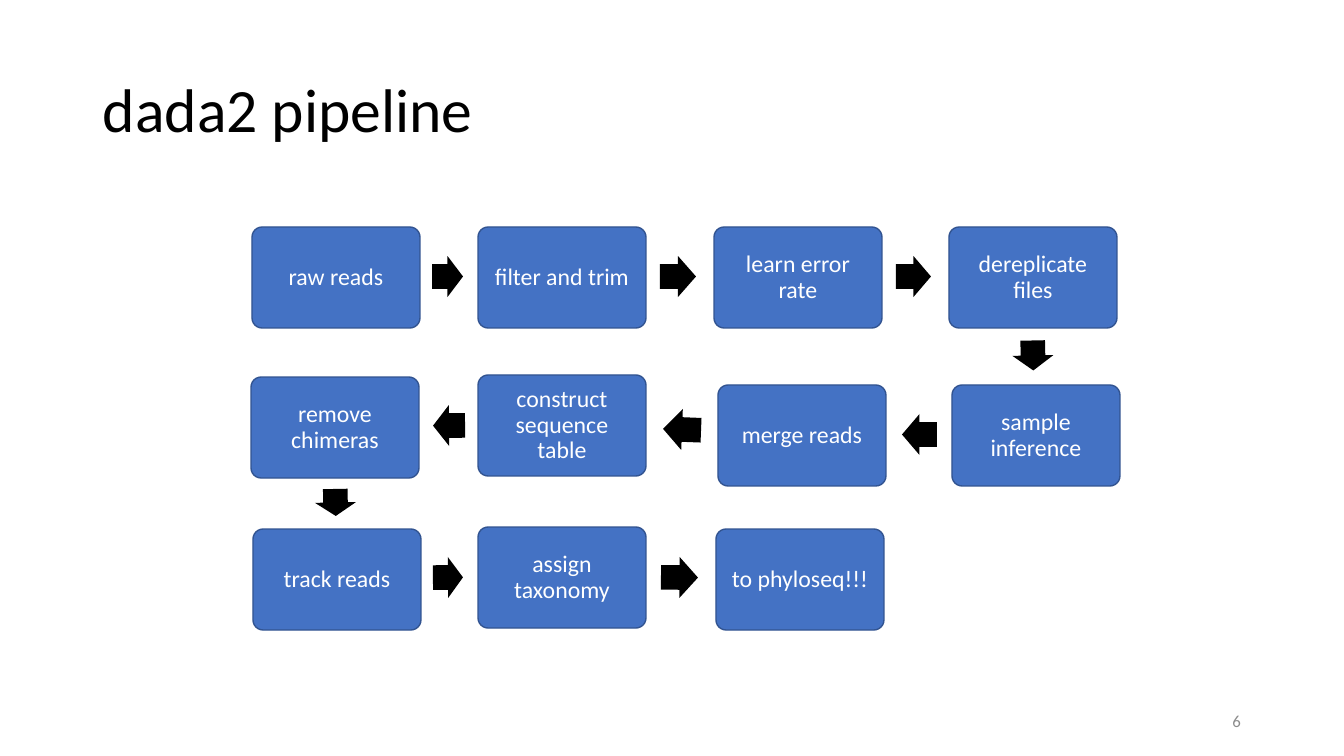
from pptx import Presentation
from pptx.dml.color import RGBColor
from pptx.enum.shapes import MSO_SHAPE as SHAPE
from pptx.enum.text import MSO_ANCHOR as ANCHOR, PP_ALIGN as ALIGN
from pptx.util import Pt

BLACK = RGBColor(0x00, 0x00, 0x00)
WHITE = RGBColor(0xFF, 0xFF, 0xFF)
BLUE = RGBColor(0x44, 0x72, 0xC4)
NAVY = RGBColor(0x32, 0x54, 0x91)
GRAY = RGBColor(0x8C, 0x8C, 0x8C)

WIDTH, HEIGHT = 1344, 756
SCALE = 12192000 / WIDTH
BOX_W, BOX_H, ARROW_H = 168, 101, 41

STEPS = [
    ("raw reads", 252, 227),
    ("filter and trim", 478, 227),
    ("learn error rate", 714, 227),
    ("dereplicate files", 949, 227),
    ("sample inference", 952, 385),
    ("merge reads", 718, 385),
    ("construct sequence table", 478, 375),
    ("remove chimeras", 251, 377),
    ("track reads", 253, 529),
    ("assign taxonomy", 478, 527),
    ("to phyloseq!!!", 716, 529),
]
ARROWS = [
    (432, 256, 31, 0),
    (660, 256, 36, 0),
    (896, 256, 35, 0),
    (1018, 335, 30, 88.8),
    (902, 414, 35, 180),
    (663, 409, 38, 182.2),
    (433, 405, 32, 179.6),
    (322, 482, 27, 88.9),
    (433, 557, 30, 359.6),
    (661, 557, 37, 0.4),
]


def emu(px):
    return round(px * SCALE)


class Deck:
    font = "Calibri"

    def __init__(self):
        self.prs = Presentation()
        self.prs.slide_width, self.prs.slide_height = emu(WIDTH), emu(HEIGHT)
        self.s = self.prs.slides.add_slide(self.prs.slide_layouts[6])

    def fill_text(self, sp, text, size, color, align, spacing=1.0, inset=10):
        tf = sp.text_frame
        frame = {"word_wrap": True, "vertical_anchor": ANCHOR.MIDDLE,
                 "margin_left": emu(inset), "margin_right": emu(inset)}
        for name, value in frame.items():
            setattr(tf, name, value)
        p = tf.paragraphs[0]
        p.alignment, p.line_spacing = align, spacing
        r = p.add_run()
        r.text = text
        for name, value in {"name": self.font, "size": Pt(size)}.items():
            setattr(r.font, name, value)
        r.font.color.rgb = color

    def text(self, text, x, y, w, h, *style):
        sp = self.s.shapes.add_textbox(*map(emu, (x, y, w, h)))
        self.fill_text(sp, text, *style)

    def shape(self, kind, x, y, w, h, fill, adjustments):
        sp = self.s.shapes.add_shape(kind, *map(emu, (x, y, w, h)))
        sp.shadow.inherit = False
        sp.fill.solid()
        sp.fill.fore_color.rgb = fill
        for i, value in enumerate(adjustments):
            sp.adjustments[i] = value
        return sp

    def step(self, label, x, y):
        sp = self.shape(SHAPE.ROUNDED_RECTANGLE, x, y, BOX_W, BOX_H, BLUE, [0.1])
        sp.line.color.rgb = NAVY
        sp.line.width = Pt(1)
        self.fill_text(sp, label, 17, WHITE, ALIGN.CENTER, 0.9, 8)

    def arrow(self, x, y, w, angle):
        sp = self.shape(SHAPE.RIGHT_ARROW, x, y, w, ARROW_H, BLACK, [0.6, 0.5])
        sp.line.fill.background()
        sp.rotation = angle


deck = Deck()
deck.text("dada2 pipeline", 93, 40, 1159, 146, 44, BLACK, ALIGN.LEFT, 0.9)
for step in STEPS:
    deck.step(*step)
for arrow in ARROWS:
    deck.arrow(*arrow)
deck.text("6", 949, 701, 302, 40, 12, GRAY, ALIGN.RIGHT)
deck.prs.save("out.pptx")
